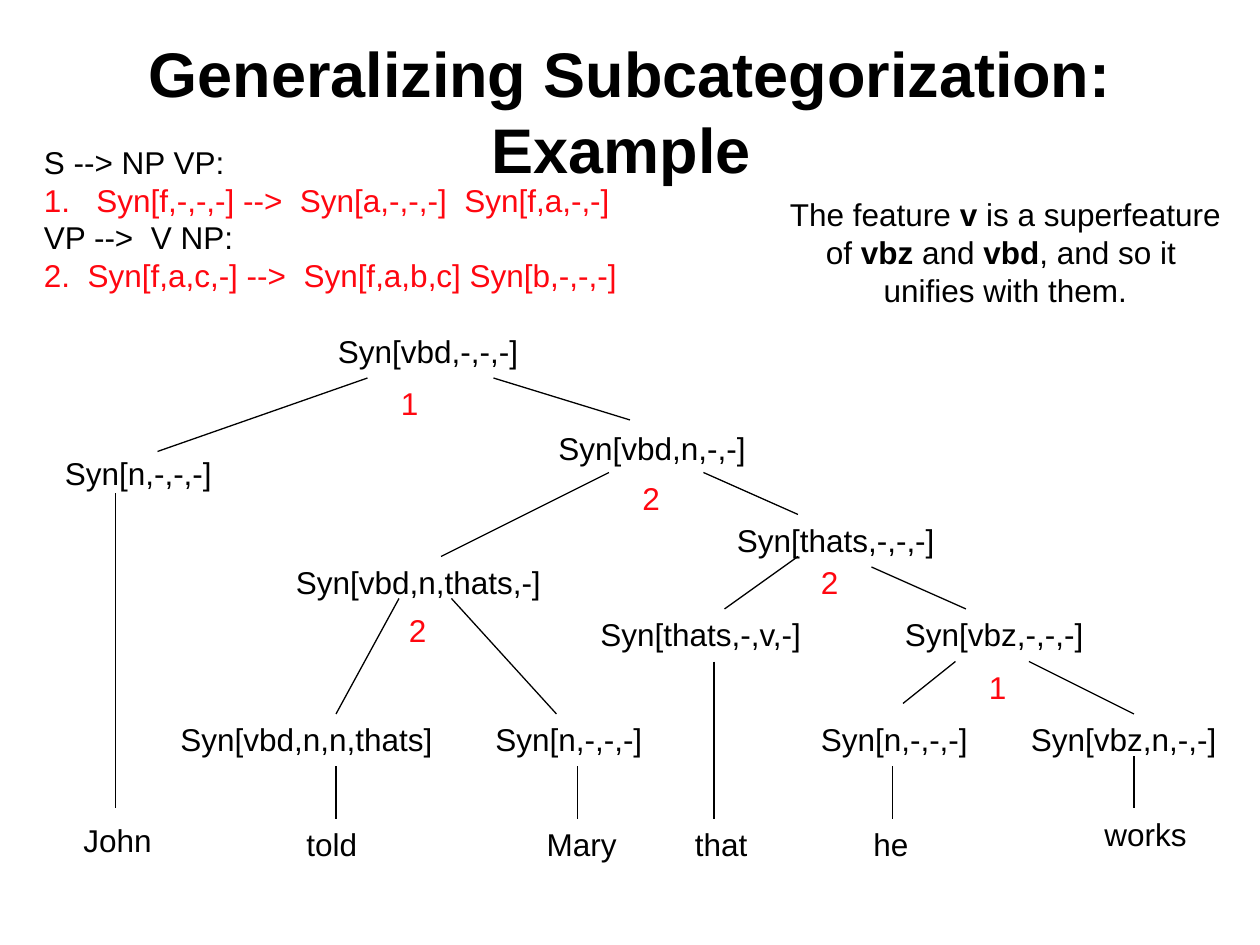
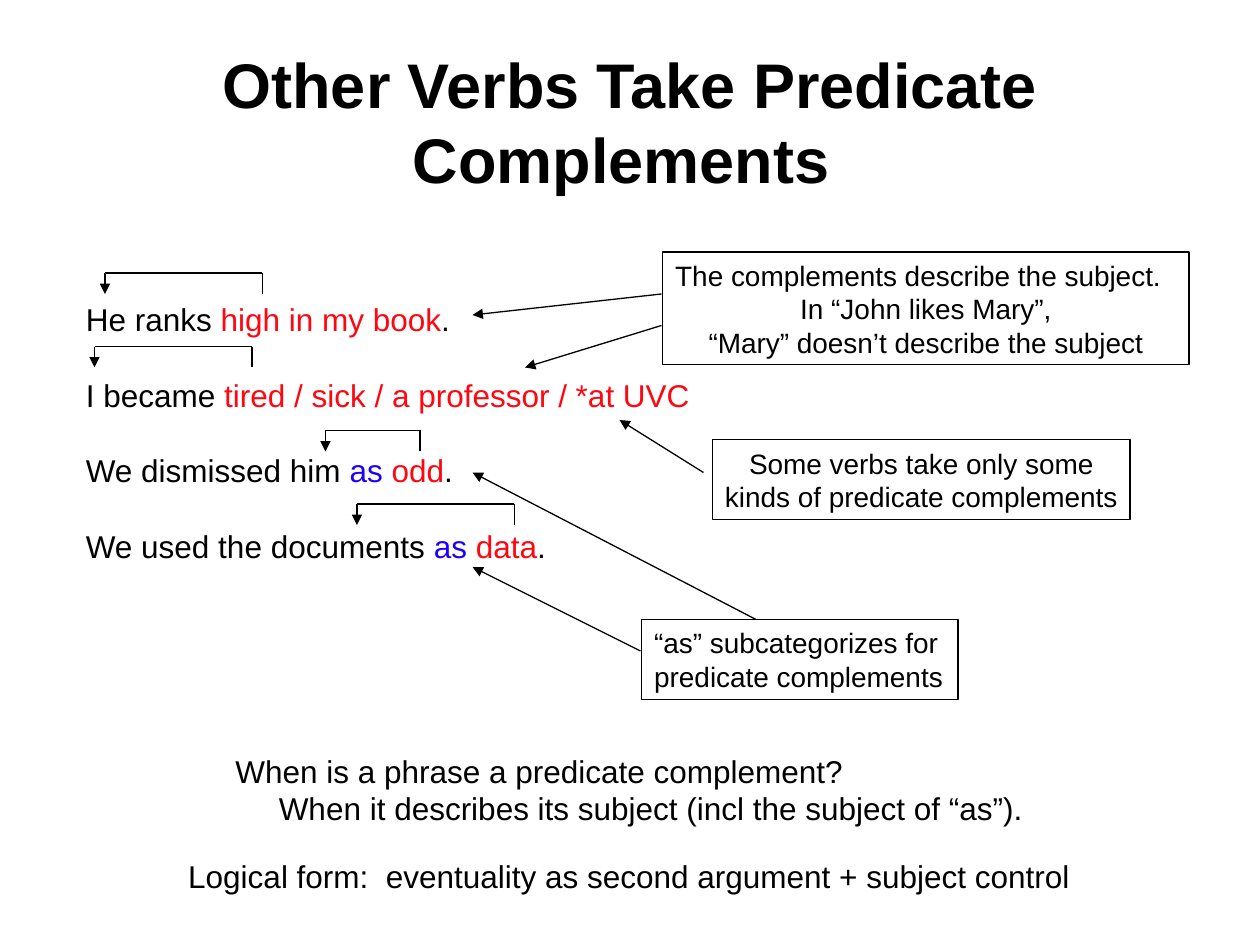
from lxml import etree
from pptx import Presentation
from pptx.enum import shapes, text
from pptx.dml.color import RGBColor
from pptx.oxml import ns
from pptx.util import Pt

PX = 9525
FONT = "Arial"
HUES = {"ink": "000000", "red": "FF0710", "blue": "1B02FF"}
LEFT, MID = text.PP_ALIGN.LEFT, text.PP_ALIGN.CENTER


def hue(name):
    return RGBColor.from_string(HUES[name])


def write(frame, lines, size=18, color="ink", bold=False, align=LEFT, gap=0):
    for i, line in enumerate(lines):
        para = frame.paragraphs[0] if i == 0 else frame.add_paragraph()
        para.alignment = align
        para.space_before = Pt(gap if i else 0)
        for part in [line] if isinstance(line, str) else line:
            words, mark = (part, None) if isinstance(part, str) else part
            run = para.add_run()
            run.text = words
            run.font.name = FONT
            run.font.size = Pt(size)
            run.font.bold = bold or mark == "bold"
            run.font.color.rgb = hue(mark if mark in HUES else color)


class Deck:
    def __init__(self):
        self.file = Presentation()
        self.file.slide_width = 960 * PX
        self.file.slide_height = 720 * PX
        self.slide = None

    def page(self, title, top):
        self.slide = self.file.slides.add_slide(self.file.slide_layouts[6])
        box = self.slide.shapes.add_textbox(*self.scale(72, top, 816, 120))
        frame = box.text_frame
        frame.word_wrap = True
        frame.vertical_anchor = text.MSO_ANCHOR.MIDDLE
        write(frame, [title], size=36, bold=True, align=MID)

    def scale(self, *sizes):
        return [size * PX for size in sizes]

    def fit(self, shape, lines, style):
        frame = shape.text_frame
        frame.word_wrap = False
        frame.auto_size = text.MSO_AUTO_SIZE.SHAPE_TO_FIT_TEXT
        frame.margin_right = 3 * PX
        if style.get("align") == MID:
            frame.margin_left = frame.margin_right
        write(frame, lines, **style)
        return frame

    def label(self, x, y, w, *lines, h=39, **style):
        box = self.slide.shapes.add_textbox(*self.scale(x, y, w, h))
        return self.fit(box, lines, style)

    def note(self, x, y, w, h, *lines, **style):
        box = self.slide.shapes.add_shape(
            shapes.MSO_SHAPE.RECTANGLE, *self.scale(x, y, w, h))
        box.shadow.inherit = False
        box.fill.background()
        box.line.color.rgb = hue("ink")
        box.line.width = Pt(0.75)
        self.fit(box, lines, {"size": 16, **style})

    def line(self, x1, y1, x2, y2, head=False):
        link = self.slide.shapes.add_connector(
            shapes.MSO_CONNECTOR.STRAIGHT, *self.scale(x1, y1, x2, y2))
        link.line.color.rgb = hue("ink")
        link.line.width = Pt(0.75)
        props = link._element.spPr
        etree.SubElement(props, ns.qn("a:effectLst"))
        if head:
            etree.SubElement(props.find(ns.qn("a:ln")), ns.qn("a:tailEnd"), type="triangle")

    def hook(self, left, right, top):
        foot = top + 16
        self.line(right, foot, right, top)
        self.line(right, top, left, top)
        self.line(left, top, left, foot, head=True)


def tree(deck):
    deck.page("Generalizing Subcategorization: Example ", 24)
    deck.label(
        24, 104, 456,
        "S --> NP VP:",
        [("1.   Syn[f,-,-,-] -->  Syn[a,-,-,-]  Syn[f,a,-,-]", "red")],
        "VP -->  V NP:",
        [("2.  Syn[f,a,c,-] -->  Syn[f,a,b,c] Syn[b,-,-,-]", "red")],
        h=125)

    nodes = [
        (248, 248, 157, "vbd,-,-,-"), (40, 341, 131, "n,-,-,-"),
        (416, 322, 162, "vbd,n,-,-"), (216, 424, 206, "vbd,n,thats,-"),
        (128, 544, 212, "vbd,n,n,thats"), (368, 544, 131, "n,-,-,-"),
        (448, 464, 174, "thats,-,v,-"), (776, 544, 161, "vbz,n,-,-"),
        (616, 544, 131, "n,-,-,-"), (680, 464, 155, "vbz,-,-,-"),
        (552, 392, 170, "thats,-,-,-"),
    ]
    for x, y, w, slots in nodes:
        deck.label(x, y, w, f"Syn[{slots}]")

    leaves = [
        (54, 621, 71, "John"), (224, 624, 58, "told"), (407, 624, 72, "Mary"),
        (520, 624, 59, "that"), (656, 624, 64, "he"), (832, 616, 82, "works"),
    ]
    for x, y, w, word in leaves:
        deck.label(x, y, w, word)

    stems = [(88, 376, 616), (256, 584, 624), (440, 584, 624),
             (544, 504, 624), (680, 584, 624), (864, 576, 616)]
    for x, top, foot in stems:
        deck.line(x, top, x, foot)

    forks = [
        (256, 544, 304, 456), (424, 544, 344, 456), (336, 424, 464, 360),
        (608, 392, 536, 360), (552, 464, 608, 424), (736, 464, 664, 432),
        (688, 536, 728, 504), (864, 544, 784, 504), (120, 344, 280, 288),
        (480, 320, 376, 288),
    ]
    for ends in forks:
        deck.line(*ends)

    rules = [(296, 288, "1"), (744, 504, "1"), (302, 461, "2"),
             (480, 360, "2"), (616, 424, "2")]
    for x, y, rule in rules:
        deck.label(x, y, 32, rule, color="red")

    deck.label(
        592, 144, 348,
        ["The feature ", ("v", "bold"), " is a superfeature"],
        ["of ", ("vbz", "bold"), " and ", ("vbd", "bold"), ", and so it "],
        "unifies with them.",
        h=96, align=MID)


def verbs(deck):
    deck.page("Other Verbs Take Predicate Complements ", 32)
    deck.label(
        56, 224, 480,
        ["He ranks ", ("high in my book", "red"), "."],
        ["I became", (" tired / sick / a professor / *at UVC", "red")],
        ["We dismissed him ", ("as ", "blue"), ("odd", "red"), "."],
        ["We used the documents ", ("as ", "blue"), ("data", "red"), "."],
        h=211, gap=21.6)

    deck.note(505, 192, 401, 86,
              "The complements describe the subject.  ",
              "In “John likes Mary”,",
              "“Mary” doesn’t describe the subject", align=MID)
    deck.note(543, 335, 318, 61,
              "Some verbs take only some",
              "kinds of predicate complements", align=MID)
    deck.note(489, 472, 241, 61,
              "“as” subcategorizes for",
              "predicate complements")

    for left, right, top in [(80, 200, 208), (72, 192, 264),
                             (248, 320, 328), (272, 392, 384)]:
        deck.hook(left, right, top)

    arrows = [(504, 224, 360, 240), (504, 248, 400, 280), (536, 360, 472, 320),
              (576, 472, 360, 360), (488, 496, 360, 432)]
    for ends in arrows:
        deck.line(*ends, head=True)

    frame = deck.label(
        170, 568, 619,
        "When is a phrase a predicate complement?",
        "When it describes its subject (incl the subject of “as”).", h=67)
    frame.paragraphs[1]._p.get_or_add_pPr().set("marL", str(33 * PX))
    deck.label(134, 648, 690,
               "Logical form:  eventuality as second argument + subject control")


def main():
    deck = Deck()
    tree(deck)
    verbs(deck)
    deck.file.save("out.pptx")


if __name__ == "__main__":
    main()
